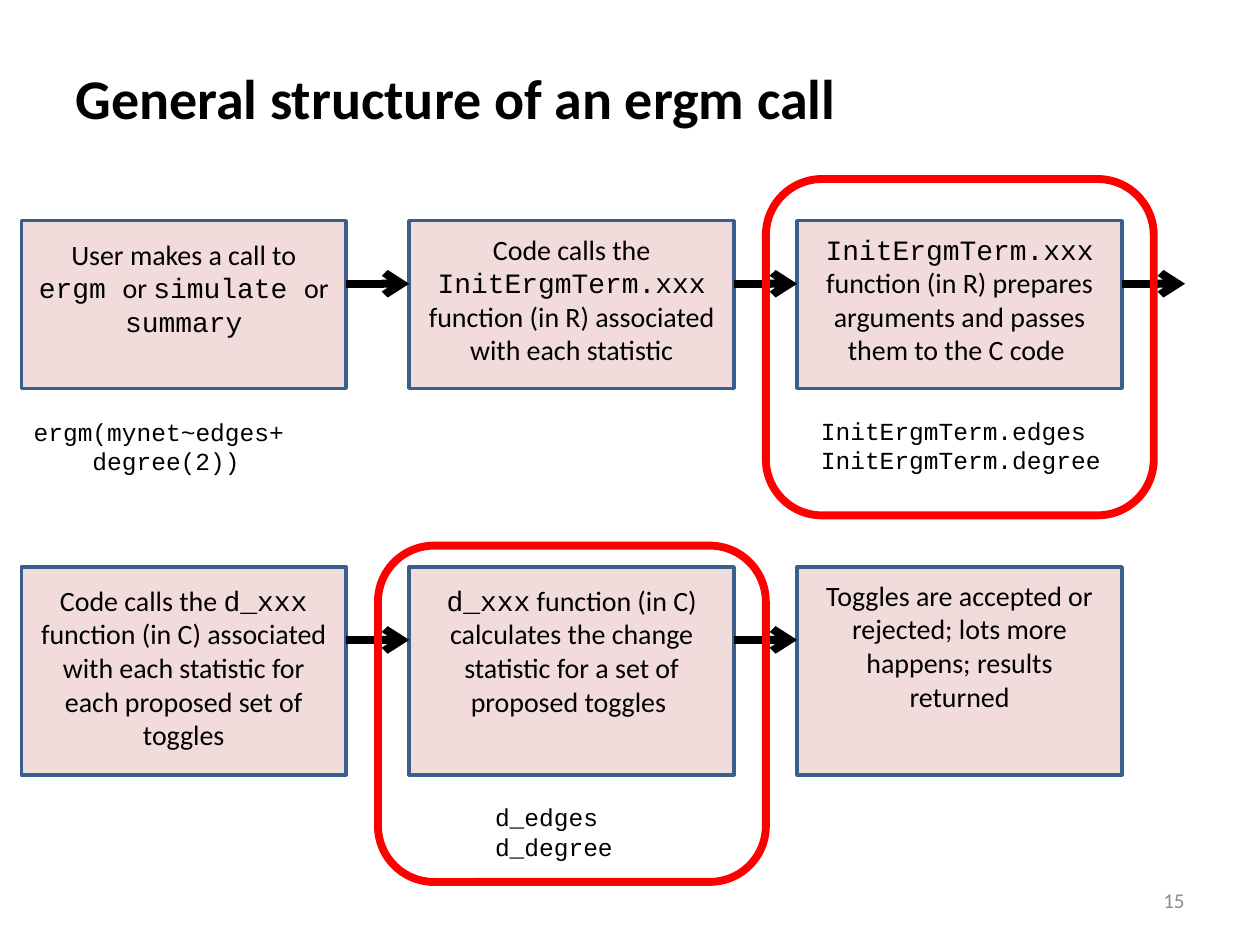
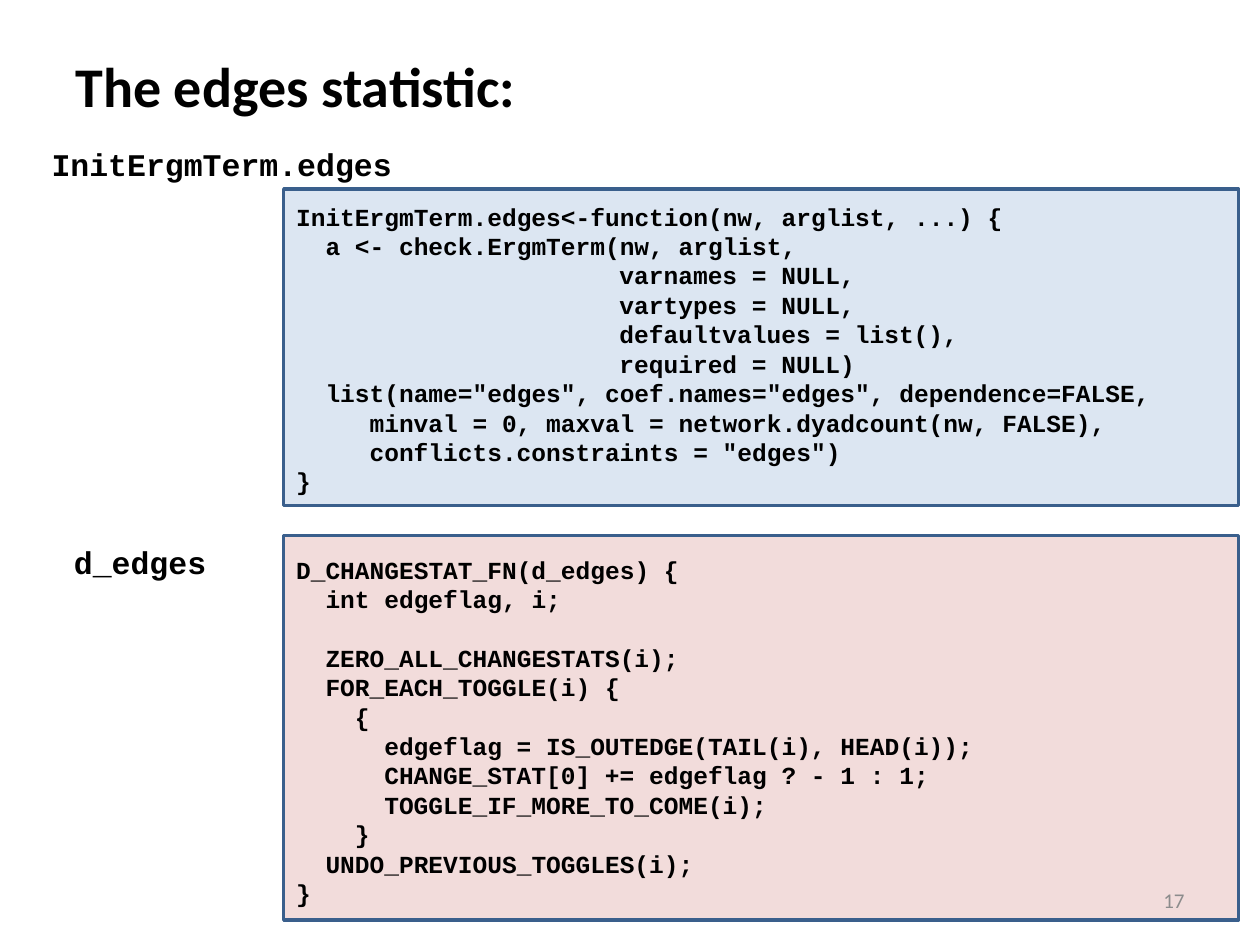
from lxml import etree
from pptx import Presentation
from pptx.dml.color import RGBColor
from pptx.enum import shapes, text
from pptx.oxml import ns
from pptx.util import Cm, Pt

BLACK = RGBColor(0x00, 0x00, 0x00)
GREY = RGBColor(0x8C, 0x8C, 0x8C)
RED = RGBColor(0xFF, 0x00, 0x00)
PINK = RGBColor(0xF2, 0xDC, 0xDB)
PALE_BLUE = RGBColor(0xDC, 0xE6, 0xF2)
STEEL = RGBColor(0x3A, 0x5F, 0x8C)
BODY, MONO = "Calibri", "Courier New"
CODE_SIZE = 14
CHAR_WIDTH = 0.6 * CODE_SIZE  # points per monospaced character
CODE_LINE = 1.2 * CODE_SIZE

# Stages: (space above the text in cm, text with code between backticks)
ROWS = [
    dict(top=4.45, height=3.38, arrow_drop=1.27, arrows=3, stages=[
        (0.33, "User makes a call to `ergm `or `simulate `or `summary`"),
        (0.23, "Code calls the `InitErgmTerm.xxx `function (in R) associated with each statistic"),
        (0.23, "`InitErgmTerm.xxx `function (in R) prepares arguments and passes them to the C code "),
    ]),
    dict(top=11.43, height=4.19, arrow_drop=1.47, arrows=2, stages=[
        (0.33, "Code calls the `d_xxx` function (in C) associated with each statistic "
               "for each proposed set of toggles"),
        (0.33, "`d_xxx` function (in C) calculates the change statistic "
               "for a set of proposed toggles "),
        (0.23, "Toggles are accepted or rejected; lots more happens; results returned"),
    ]),
]
# Code lines: (indent in characters, blank lines above, text)
EXAMPLES = [
    (0.43, 8.28, [(0, 0, "ergm(mynet~edges+"), (4, 0, "degree(2))")]),
    (16.3, 8.26, [(0, 0, "InitErgmTerm.edges"), (0, 0, "InitErgmTerm.degree")]),
    (9.73, 16.05, [(0, 0, "d_edges"), (0, 0, "d_degree")]),
]
HIGHLIGHTS = [(2, 3.61), (1, 11)]  # column, top

LISTING = [
    (0, 0, "InitErgmTerm.edges<-function(nw, arglist, ...) {"),
    (2, 0, "a <- check.ErgmTerm(nw, arglist,"),
    (22, 0, "varnames = NULL,"),
    (22, 0, "vartypes = NULL,"),
    (22, 0, "defaultvalues = list(),"),
    (22, 0, "required = NULL)"),
    (2, 0, 'list(name="edges", coef.names="edges", dependence=FALSE,'),
    (5, 0, "minval = 0, maxval = network.dyadcount(nw, FALSE),"),
    (5, 0, 'conflicts.constraints = "edges")'),
    (0, 0, "}"),
    (0, 2, "D_CHANGESTAT_FN(d_edges) {"),
    (2, 0, "int edgeflag, i;"),
    (2, 1, "ZERO_ALL_CHANGESTATS(i);"),
    (2, 0, "FOR_EACH_TOGGLE(i) {"),
    (4, 0, "{"),
    (6, 0, "edgeflag = IS_OUTEDGE(TAIL(i), HEAD(i));"),
    (6, 0, "CHANGE_STAT[0] += edgeflag ? - 1 : 1;"),
    (6, 0, "TOGGLE_IF_MORE_TO_COME(i);"),
    (4, 0, "}"),
    (2, 0, "UNDO_PREVIOUS_TOGGLES(i);"),
    (0, 0, "}"),
]
PANELS = [(3.81, 6.38, PALE_BLUE), (10.8, 7.75, PINK)]  # top, height, fill
FUNCTION_NAMES = [(0.79, 2.79, 7.42, "InitErgmTerm.edges"), (1.24, 10.82, 3.2, "d_edges")]

COLUMN_LEFT, COLUMN_PITCH, STAGE_WIDTH = 0.43, 7.82, 6.55


def column_x(column):
    return COLUMN_LEFT + column * COLUMN_PITCH


def style(run, font, size, color=BLACK, bold=False):
    run.font.name, run.font.size, run.font.bold = font, Pt(size), bold
    run.font.color.rgb = color


def add_label(slide, left, top, width, height, words, font, size,
              color=BLACK, bold=False, align=text.PP_ALIGN.LEFT):
    label = slide.shapes.add_textbox(Cm(left), Cm(top), Cm(width), Cm(height))
    frame = label.text_frame
    frame.text, frame.word_wrap = words, True
    frame.vertical_anchor = text.MSO_ANCHOR.MIDDLE
    frame.paragraphs[0].alignment = align
    style(frame.paragraphs[0].runs[0], font, size, color, bold)


def add_code(slide, left, top, width, height, lines, bold=False):
    code = slide.shapes.add_textbox(Cm(left), Cm(top), Cm(width), Cm(height))
    frame = code.text_frame
    frame.word_wrap = False
    frame.text = "\n".join(line for _, _, line in lines)
    for paragraph, (indent, blanks, _) in zip(frame.paragraphs, lines):
        properties = paragraph._p.get_or_add_pPr()
        properties.set("marL", str(int(Pt(indent * CHAR_WIDTH))))
        properties.set("indent", "0")
        paragraph.space_before = Pt(blanks * CODE_LINE)
        style(paragraph.runs[0], MONO, CODE_SIZE, bold=bold)


def add_outlined(slide, kind, left, top, width, height, fill, line, weight):
    outlined = slide.shapes.add_shape(kind, Cm(left), Cm(top), Cm(width), Cm(height))
    outlined.shadow.inherit = False
    if fill is None:
        outlined.fill.background()
    else:
        outlined.fill.solid()
        outlined.fill.fore_color.rgb = fill
    outlined.line.color.rgb, outlined.line.width = line, Pt(weight)
    return outlined


def add_box(slide, left, top, width, height, fill):
    return add_outlined(slide, shapes.MSO_SHAPE.RECTANGLE, left, top, width, height,
                        fill, STEEL, 2)


def write_stage(stage, space_above, words):
    frame = stage.text_frame
    frame.word_wrap, frame.vertical_anchor = True, text.MSO_ANCHOR.TOP
    frame.margin_top = Cm(space_above)
    frame.margin_left = frame.margin_right = Cm(0.33)
    paragraph = frame.paragraphs[0]
    paragraph.alignment = text.PP_ALIGN.CENTER
    for position, part in enumerate(words.split("`")):
        if part:
            run = paragraph.add_run()
            run.text = part
            style(run, MONO if position % 2 else BODY, 16)


def add_arrow(slide, start, end, y):
    arrow = slide.shapes.add_connector(shapes.MSO_CONNECTOR.STRAIGHT,
                                       Cm(start), Cm(y), Cm(end), Cm(y))
    arrow.line.color.rgb, arrow.line.width = BLACK, Pt(4.5)
    etree.SubElement(arrow.line._get_or_add_ln(), ns.qn("a:tailEnd"), type="arrow")
    etree.SubElement(arrow._element.spPr, ns.qn("a:effectLst"))


def add_slide(deck, title, title_top, title_height):
    slide = deck.slides.add_slide(deck.slide_layouts[6])
    add_label(slide, 1.27, title_top, 22.86, title_height, title, BODY, 32, bold=True)
    return slide


def add_page_number(slide, number):
    add_label(slide, 18.2, 17.65, 5.93, 1.01, number, BODY, 12, GREY,
              align=text.PP_ALIGN.RIGHT)


def build_structure(deck):
    slide = add_slide(deck, "General structure of an ergm call", 0.76, 2.41)
    for row in ROWS:
        for column, (space_above, words) in enumerate(row["stages"]):
            stage = add_box(slide, column_x(column), row["top"],
                            STAGE_WIDTH, row["height"], PINK)
            write_stage(stage, space_above, words)
        for column in range(row["arrows"]):
            add_arrow(slide, column_x(column) + STAGE_WIDTH, column_x(column + 1),
                      row["top"] + row["arrow_drop"])
    for left, top, lines in EXAMPLES:
        add_code(slide, left, top, 6.35, 1.45, lines)
    for column, top in HIGHLIGHTS:
        add_outlined(slide, shapes.MSO_SHAPE.ROUNDED_RECTANGLE, column_x(column) - 0.63,
                     top, COLUMN_PITCH, 6.78, None, RED, 4.5)
    add_page_number(slide, "15")


def build_edges(deck):
    slide = add_slide(deck, "The edges statistic:", 0.91, 1.63)
    for top, height, fill in PANELS:
        add_box(slide, 5.72, top, 19.25, height, fill)
    add_code(slide, 5.72, 3.94, 18.42, 14.63, LISTING, bold=True)
    for left, top, width, name in FUNCTION_NAMES:
        add_label(slide, left, top, width, 1.02, name, MONO, 18, bold=True)
    add_page_number(slide, "17")


def main():
    deck = Presentation()
    deck.slide_width, deck.slide_height = Cm(25.4), Cm(19.05)
    build_structure(deck)
    build_edges(deck)
    deck.save("out.pptx")


if __name__ == "__main__":
    main()
